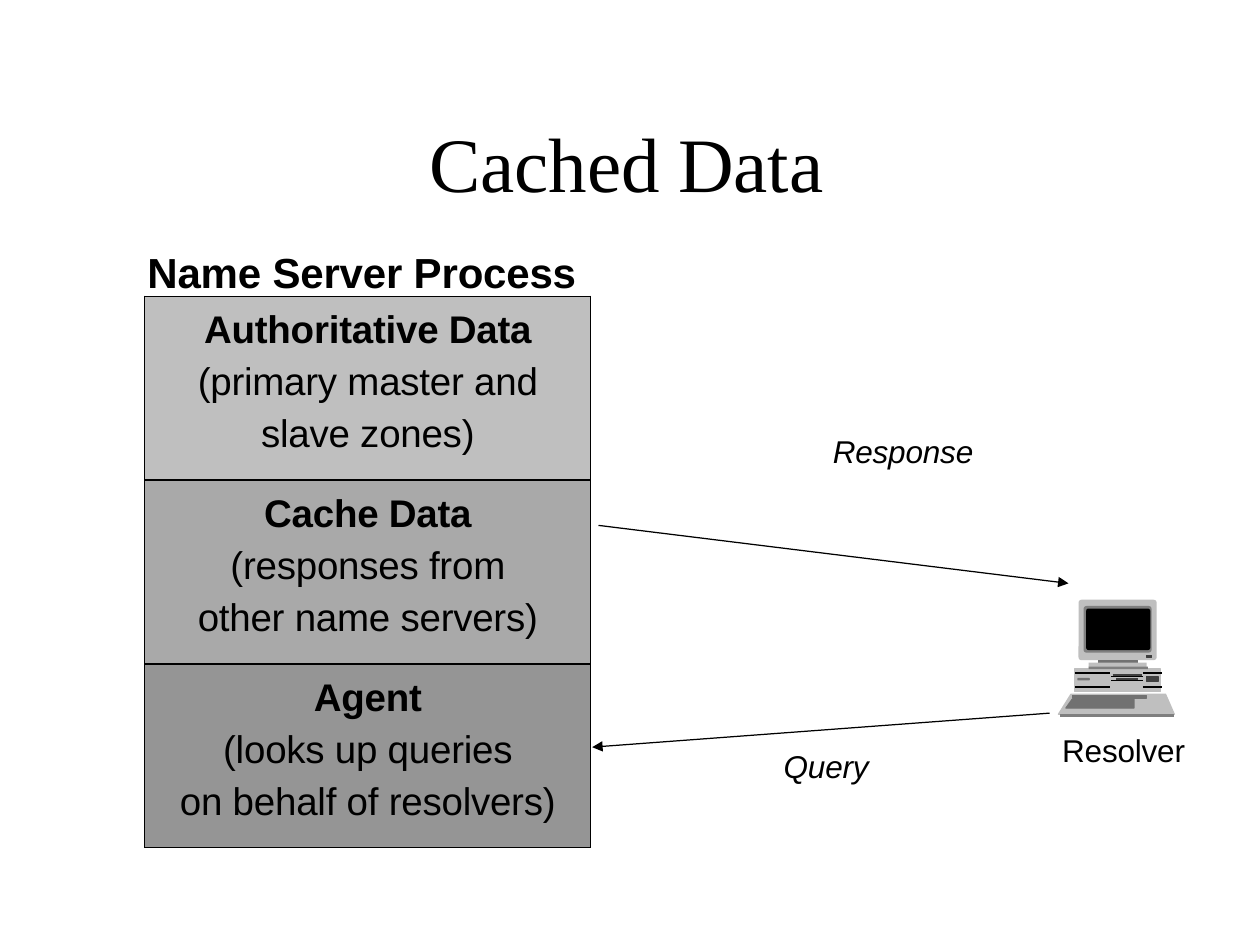
from pptx import Presentation, util as u
from pptx.dml.color import RGBColor
from pptx.enum import shapes, text
from pptx.oxml import parse_xml
from pptx.oxml.ns import nsdecls, qn

I = u.Inches
BLACK, DARK, MID, GREY, LIGHT = "000000", "3F3F3F", "717171", "7F7F7F", "BFBFBF"


def rgb(value):
    """Turn a hex string into a colour."""
    return RGBColor.from_string(value)


def add_run(p, words, **fmt):
    """Add a run of slightly tightened text with the given font values."""
    r = p.add_run()
    r.text = words
    for name, value in {"name": "Arial", **fmt}.items():
        setattr(r.font, name, value)
    r.font.color.rgb = rgb(BLACK)
    r._r.get_or_add_rPr().set("spc", "-10")


def add_label(s, words, left, top, width, height, **fmt):
    """Place one line of text in a box without side margins."""
    tf = s.shapes.add_textbox(I(left), I(top), I(width), I(height)).text_frame
    for name, value in {"margin_left": 0, "margin_right": 0, "margin_bottom": 0,
                        "margin_top": I(0.01), "word_wrap": True}.items():
        setattr(tf, name, value)
    p = tf.paragraphs[0]
    p.space_before = u.Pt(1)
    add_run(p, words, **fmt)


def add_line(s, x1, y1, x2, y2, color=BLACK, width=0.7, arrow=False):
    """Draw a straight line, with an arrowhead at its end if asked."""
    sp = s.shapes.add_connector(shapes.MSO_CONNECTOR.STRAIGHT, I(x1), I(y1), I(x2), I(y2))
    sp.line.color.rgb = rgb(color)
    sp.line.width = u.Pt(width)
    if arrow:
        sp.line._get_or_add_ln().append(
            parse_xml(f'<a:tailEnd {nsdecls("a")} type="triangle" w="med" len="med"/>'))
    sp._element.spPr.append(parse_xml(f'<a:effectLst {nsdecls("a")}/>'))


def paint(sp, color, edge=0):
    """Fill a shape and edge it in the same colour."""
    sp.shadow.inherit = False
    sp.fill.solid()
    sp.fill.fore_color.rgb = rgb(color)
    if edge:
        sp.line.color.rgb = rgb(color)
        sp.line.width = u.Pt(edge)
    else:
        sp.line.fill.background()


def add_borders(cell):
    """Give a cell thin black borders on every side."""
    pr = cell._tc.get_or_add_tcPr()
    for i, side in enumerate(("lnL", "lnR", "lnT", "lnB")):
        pr.insert(i, parse_xml(
            f'<a:{side} {nsdecls("a")} w="{u.Pt(0.75)}"><a:solidFill>'
            f'<a:srgbClr val="{BLACK}"/></a:solidFill></a:{side}>'))


def add_process(s, left, top, width, row_height, parts):
    """Stack the parts of the name server in a one-column table."""
    table = s.shapes.add_table(len(parts), 1, I(left), I(top), I(width),
                               I(row_height * len(parts))).table
    table.first_row = table.horz_banding = False
    for row, (color, heading, *lines) in zip(table.rows, parts):
        row.height = I(row_height)
        cell = row.cells[0]
        for name, value in {"margin_left": 0, "margin_right": 0, "margin_bottom": 0,
                            "margin_top": I(0.03)}.items():
            setattr(cell, name, value)
        cell.fill.solid()
        cell.fill.fore_color.rgb = rgb(color)
        add_borders(cell)
        p = cell.text_frame.paragraphs[0]
        for name, value in {"alignment": text.PP_ALIGN.CENTER, "line_spacing": 1.21,
                            "space_before": u.Pt(1.9)}.items():
            setattr(p, name, value)
        add_run(p, heading, size=u.Pt(22), bold=True)
        for line in lines:
            p.add_line_break()
            add_run(p, line, size=u.Pt(22), bold=False)


def add_computer(s, left, top):
    """Draw a desktop computer from its top left corner."""
    def block(x, y, w, h, color, edge=0, radius=0):
        kind = shapes.MSO_SHAPE.ROUNDED_RECTANGLE if radius else shapes.MSO_SHAPE.RECTANGLE
        sp = s.shapes.add_shape(kind, I(left + x), I(top + y), I(w), I(h))
        if radius:
            sp.adjustments[0] = radius
        paint(sp, color, edge)

    def outline(points, color, edge):
        (x, y), *rest = [(I(left + x), I(top + y)) for x, y in points]
        fb = s.shapes.build_freeform(x, y)
        fb.add_line_segments(rest, close=True)
        paint(fb.convert_to_shape(), color, edge)

    case_and_screen = [
        (0.13, 0.55, 0.68, 0.18, LIGHT, 0.74),
        (0.15, 0.62, 0.1, 0.02, MID, 0, 0.4),
        (0.16, 0, 0.62, 0.48, LIGHT, 0, 0.05),
        (0.2, 0.05, 0.54, 0.37, GREY, 0, 0.06),
        (0.22, 0.07, 0.51, 0.33, BLACK, 0, 0.06),
        (0.7, 0.61, 0.09, 0.04, DARK, 0.74),
        (0.32, 0.48, 0.31, 0.04, MID, 0.74),
        (0.7, 0.44, 0.04, 0.02, DARK, 0.74),
        (0.24, 0.5, 0.46, 0.04, LIGHT),
        (0.24, 0.53, 0.47, 0.02, GREY),
    ]
    for part in case_and_screen:
        block(*part)
    slots = [(x1, x2, y, BLACK, 1.2) for y in (0.58, 0.69)
             for x1, x2 in ((0.13, 0.41), (0.67, 0.82))]
    slots += [(0.43, 0.66, 0.6, DARK, 1.14), (0.46, 0.63, 0.63, DARK, 1.44),
              (0.42, 0.67, 0.61, BLACK, 0.74), (0.42, 0.67, 0.64, BLACK, 0.74)]
    for x1, x2, y, color, width in slots:
        add_line(s, left + x1, top + y, left + x2, top + y, color, width)

    outline([(0.1, 0.75), (0.85, 0.75), (0.92, 0.91), (0, 0.91)], LIGHT, 0.74)
    add_line(s, left + 0.01, top + 0.92, left + 0.92, top + 0.92, GREY, 1.9)
    block(0.11, 0.76, 0.59, 0.02, MID, 0.74)
    outline([(0.11, 0.79), (0.6, 0.79), (0.6, 0.86), (0.06, 0.86)], MID, 0.74)


def build():
    """Build the slide and save it."""
    prs = Presentation()
    prs.slide_width, prs.slide_height = I(10), I(7.5)
    s = prs.slides.add_slide(prs.slide_layouts[6])
    add_label(s, "Cached Data", 3.41, 0.91, 3.17, 0.76,
              name="Times New Roman", size=u.Pt(44))
    add_line(s, 8.33, 5.66, 4.7, 5.93, arrow=True)
    add_label(s, "Query", 6.22, 5.92, 0.71, 0.33, size=u.Pt(18), italic=True)
    add_label(s, "Response", 6.61, 3.42, 1.15, 0.33, size=u.Pt(18), italic=True)
    add_line(s, 4.75, 4.17, 8.48, 4.63, arrow=True)
    add_process(s, 1.15, 2.35, 3.54, 1.46, [
        ("BFBFBF", "Authoritative Data", "(primary master and", "slave zones)"),
        ("A9A9A9", "Cache Data", "(responses from", "other name servers)"),
        ("959595", "Agent", "(looks up queries", "on behalf of resolvers)"),
    ])
    add_label(s, "Name Server Process", 1.17, 1.95, 3.45, 0.43, size=u.Pt(24), bold=True)
    add_computer(s, 8.4, 4.76)
    add_label(s, "Resolver", 8.43, 5.79, 1.01, 0.33, size=u.Pt(18))
    prs.save("out.pptx")


build()
